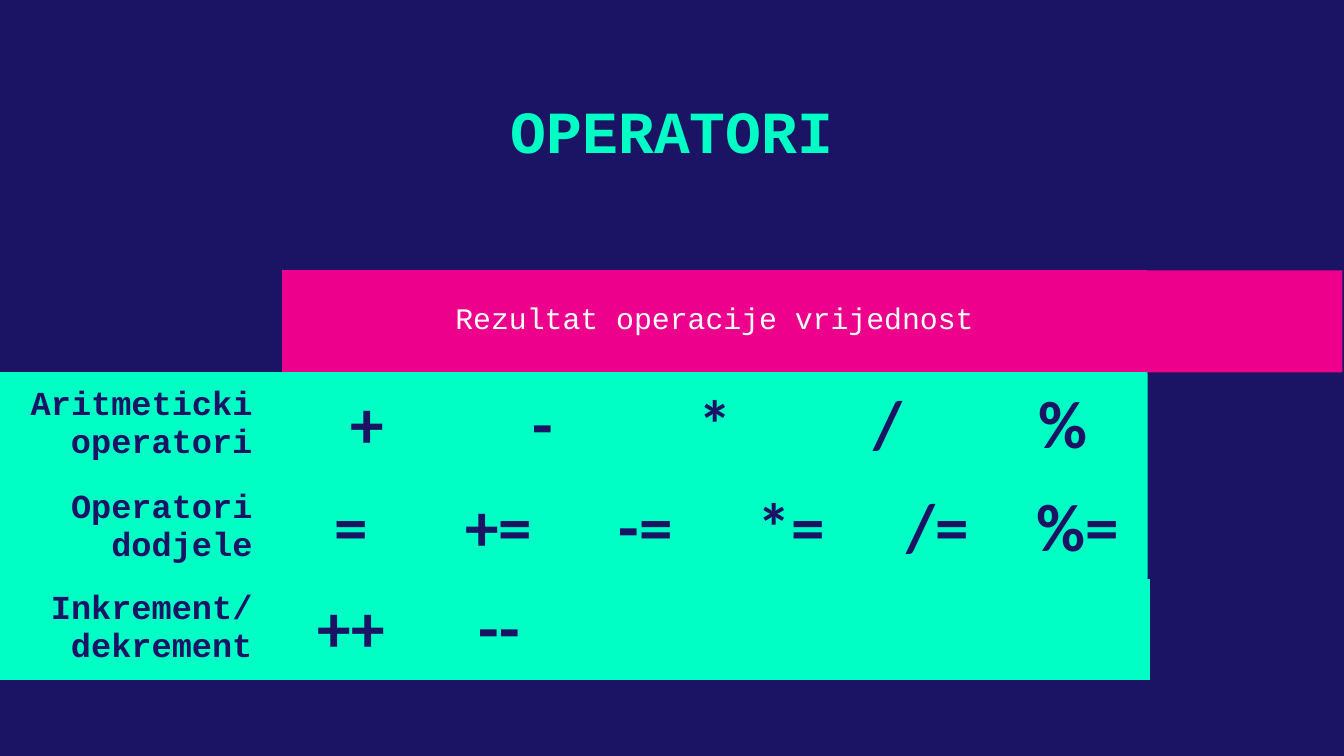
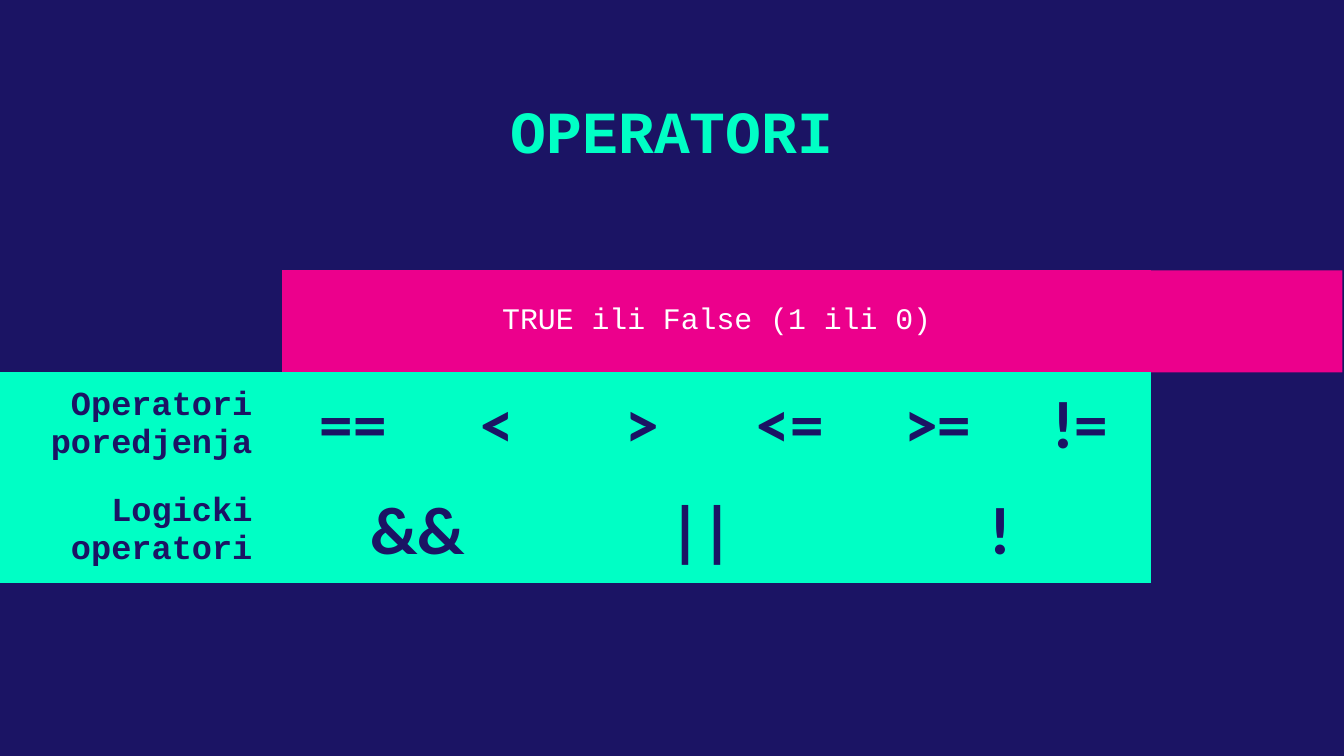
import pptx
import pptx.dml.color
import pptx.enum.shapes
import pptx.enum.text
import pptx.util

Cm = pptx.util.Cm
ALIGN = pptx.enum.text.PP_ALIGN
ANCHOR = pptx.enum.text.MSO_ANCHOR

NAVY, MINT, PINK, WHITE = "1B1464", "00FFC5", "EC008C", "FFFFFF"
CODE, SANS = "Courier New", "Calibri"
NO_GRID = "{2D5ABB26-0587-4C30-8999-92F81FD0307C}"

TOP = 5.11
HEAD = 1.93
BODY = TOP + HEAD
LABEL = 5.33

# kind: text colour, alignment, font values
STYLES = {
    "title": (MINT, ALIGN.CENTER, {"name": CODE, "size": pptx.util.Pt(32), "bold": True}),
    "head": (WHITE, ALIGN.CENTER, {"name": CODE, "size": pptx.util.Pt(16), "bold": False}),
    "label": (NAVY, ALIGN.RIGHT, {"name": CODE, "size": pptx.util.Pt(18), "bold": True}),
    "sign": (NAVY, ALIGN.CENTER, {"name": SANS, "size": pptx.util.Pt(36), "bold": True}),
}


def paint(fill, color):
    fill.solid()
    fill.fore_color.rgb = pptx.dml.color.RGBColor.from_string(color)


def put(item, values):
    for name, value in values.items():
        setattr(item, name, value)


class Deck:
    def __init__(self):
        self.prs = pptx.Presentation()
        put(self.prs, {"slide_width": Cm(25.4), "slide_height": Cm(14.29)})
        self.slide = None

    def page(self, title, width, height):
        """Start a slide with its title, a mint band of the given size and the pink band."""
        self.slide = self.prs.slides.add_slide(self.prs.slide_layouts[6])
        paint(self.slide.background.fill, NAVY)
        self.block(0, BODY, width, height, MINT)
        self.block(8, TOP, 17.37, HEAD, PINK)
        self.title(title)

    def text(self, frame, words, kind):
        color, align, font = STYLES[kind]
        frame.text = words
        for para in frame.paragraphs:
            para.alignment = align
            put(para.font, font)
            paint(para.font.fill, color)

    def block(self, left, top, width, height, color):
        shape = self.slide.shapes.add_shape(
            pptx.enum.shapes.MSO_SHAPE.RECTANGLE,
            Cm(left), Cm(top), Cm(width), Cm(height))
        shape.shadow.inherit = False
        shape.line.fill.background()
        paint(shape.fill, color)

    def title(self, words):
        box = self.slide.shapes.add_textbox(Cm(3.56), Cm(1.37), Cm(18.29), Cm(1.85))
        put(box.text_frame, {
            "word_wrap": True, "vertical_anchor": ANCHOR.BOTTOM,
            "margin_top": Cm(0.1), "margin_bottom": Cm(0.1)})
        self.text(box.text_frame, words, "title")

    def cell(self, cell, words, kind):
        right = 0.56 if kind == "label" else 0.25
        put(cell, {
            "vertical_anchor": ANCHOR.MIDDLE,
            "margin_left": Cm(0.25), "margin_right": Cm(right),
            "margin_top": Cm(0.17), "margin_bottom": Cm(0.17)})
        paint(cell.fill, PINK if kind == "head" else MINT)
        if words:
            self.text(cell.text_frame, words, kind)

    def grid(self, top, cols, highs, rows, head=None):
        """Draw rows of (label, signs, spans), below a merged head if one is given."""
        frame = self.slide.shapes.add_table(
            len(highs), len(cols), 0, Cm(top), Cm(sum(cols)), Cm(sum(highs)))
        table = frame.table
        put(table, {"first_row": False, "horz_banding": False})
        table._tbl.tblPr[0].text = NO_GRID
        for col, width in zip(table.columns, cols):
            col.width = Cm(width)
        for row, high in zip(table.rows, highs):
            row.height = Cm(high)
        start = 0
        if head:
            table.cell(0, 0).fill.background()
            table.cell(0, 1).merge(table.cell(0, len(cols) - 1))
            self.cell(table.cell(0, 1), head, "head")
            start = 1
        for row, (label, signs, spans) in enumerate(rows, start):
            self.cell(table.cell(row, 0), label, "label")
            col = 1
            for sign, span in zip(signs, spans):
                cell = table.cell(row, col)
                if span > 1:
                    cell.merge(table.cell(row, col + span - 1))
                self.cell(cell, sign, "sign")
                col += span


def main():
    deck = Deck()

    deck.page("OPERATORI", 21.69, 3.99)
    deck.grid(
        TOP, [LABEL, 2.62, 0.61, 2.34, 1.04, 1.57, 1.57, 1.32, 2.08, 0.58, 2.62],
        [HEAD, 2.01, 1.9],
        [("Aritmeticki operatori", ["+", "-", "*", "/", "%"], [2] * 5),
         ("Operatori dodjele", ["=", "+=", "-=", "*=", "/=", "%="], [1, 2, 2, 2, 2, 1])],
        "Rezultat operacije vrijednost")
    deck.grid(
        10.95, [LABEL, 2.62, 2.97, 2.62, 2.9, 2.67, 2.62], [1.9],
        [("Inkrement/ dekrement", ["++", "--", "", "", "", ""], [1] * 6)])

    deck.page("OPERATORI", 20.98, 3.91)
    deck.grid(
        TOP, [LABEL, 2.69, 2.44, 0.33, 2.69, 2.57, 0.33, 2.69, 2.69],
        [HEAD, 2.01, 1.98],
        [("Operatori\nporedjenja", ["==", "<", ">", "<=", ">=", "!="], [1, 2, 1, 2, 1, 1]),
         ("Logicki operatori", ["&&", "||", "!"], [2, 3, 3])],
        "TRUE ili False (1 ili 0)")

    deck.prs.save("out.pptx")


if __name__ == "__main__":
    main()
